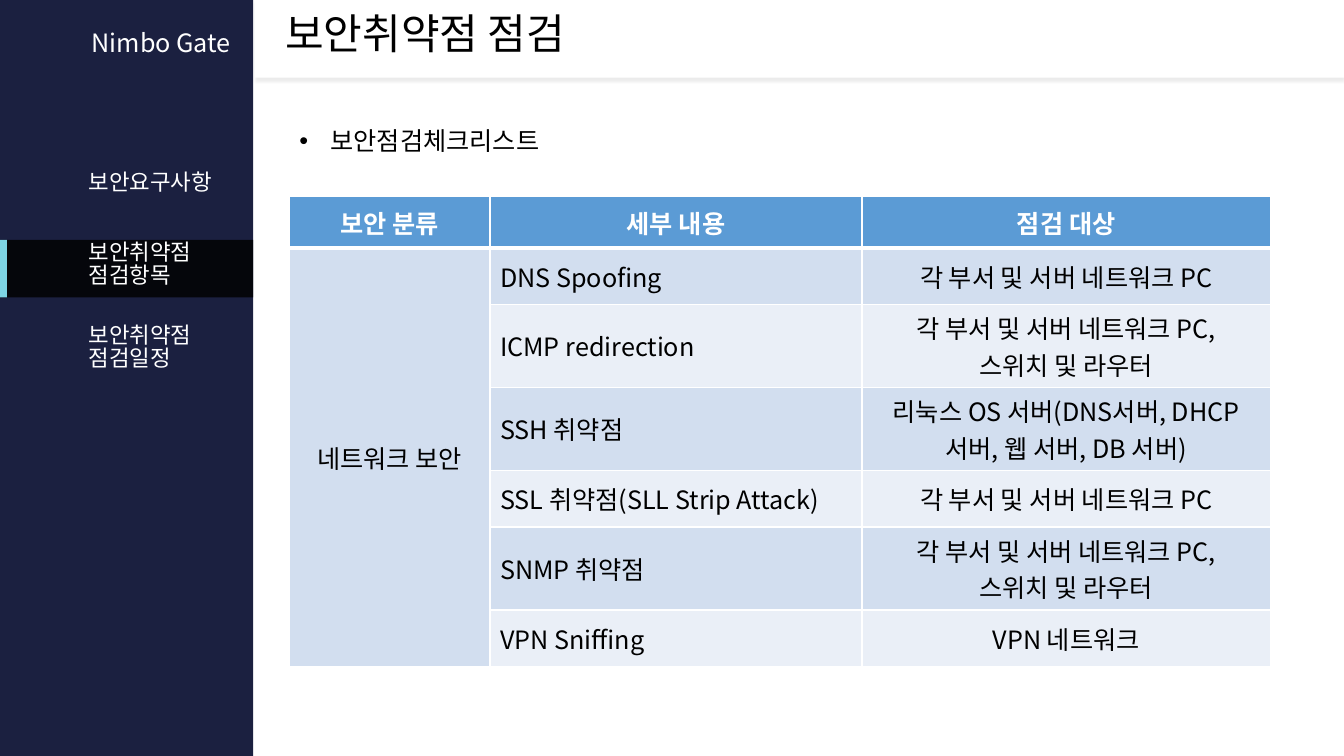
import lxml.etree
import pptx
import pptx.dml.color
import pptx.enum.shapes
import pptx.enum.text
import pptx.oxml
import pptx.oxml.ns
import pptx.util

Inches = pptx.util.Inches
Pt = pptx.util.Pt
RGBColor = pptx.dml.color.RGBColor
ALIGN = pptx.enum.text.PP_ALIGN
ANCHOR = pptx.enum.text.MSO_ANCHOR
qn = pptx.oxml.ns.qn

FONT = "Noto Sans CJK KR"
WHITE = RGBColor(0xFF, 0xFF, 0xFF)
BLACK = RGBColor(0, 0, 0)
NAVY = RGBColor(0x1B, 0x20, 0x40)
ACTIVE = RGBColor(0x05, 0x06, 0x0B)
CYAN = RGBColor(0x7D, 0xD4, 0xE5)
HEADER_BLUE = RGBColor(0x5B, 0x9B, 0xD5)
BAND_DARK = RGBColor(0xD2, 0xDE, 0xEF)
BAND_LIGHT = RGBColor(0xEA, 0xEF, 0xF7)

MENU = [
    (1.66, 0.37, ["보안요구사항"]),
    (2.36, 0.64, ["보안취약점", "점검항목"]),
    (3.18, 0.64, ["보안취약점", "점검일정"]),
]
HEADERS = ["보안 분류", "세부 내용", "점검 대상"]
CATEGORY = "네트워크 보안"
ALL_PCS = ["각 부서 및 서버 네트워크 PC"]
PCS_AND_ROUTERS = ["각 부서 및 서버 네트워크 PC,", "스위치 및 라우터"]
CHECKS = [
    ("DNS Spoofing", ALL_PCS),
    ("ICMP redirection", PCS_AND_ROUTERS),
    ("SSH 취약점", ["리눅스 OS 서버(DNS서버, DHCP서버, 웹 서버, DB 서버)"]),
    ("SSL 취약점(SLL Strip Attack)", ALL_PCS),
    ("SNMP 취약점", PCS_AND_ROUTERS),
    ("VPN Sniffing", ["VPN 네트워크"]),
]
COLUMN_WIDTHS = [1.99, 3.69, 4.05]
ROW_HEIGHTS = [0.51, 0.56, 0.8, 0.8, 0.56, 0.8, 0.56]


def write_lines(frame, lines, size, color, bold=False, align=ALIGN.LEFT, spacing=None):
    for index, line in enumerate(lines):
        paragraph = frame.paragraphs[0] if index == 0 else frame.add_paragraph()
        paragraph.alignment = align
        if spacing:
            paragraph.line_spacing = spacing
        run = paragraph.add_run()
        run.text = line
        for name, value in {"name": FONT, "size": Pt(size), "bold": bold}.items():
            setattr(run.font, name, value)
        run.font.color.rgb = color
        east_asian = lxml.etree.SubElement(run.font._element, qn("a:ea"))
        east_asian.set("typeface", FONT)


def format_frame(frame):
    settings = {
        "word_wrap": True,
        "vertical_anchor": ANCHOR.TOP,
        "auto_size": pptx.enum.text.MSO_AUTO_SIZE.NONE,
        "margin_left": Inches(0.1),
        "margin_right": Inches(0.1),
        "margin_top": Inches(0.05),
        "margin_bottom": Inches(0.05),
    }
    for name, value in settings.items():
        setattr(frame, name, value)


def add_text(slide, box, lines, size, color, spacing):
    shape = slide.shapes.add_textbox(*map(Inches, box))
    format_frame(shape.text_frame)
    write_lines(shape.text_frame, lines, size, color, spacing=spacing)
    return shape


def add_block(slide, box, color):
    shape = slide.shapes.add_shape(
        pptx.enum.shapes.MSO_SHAPE.RECTANGLE, *map(Inches, box))
    shape.shadow.inherit = False
    shape.fill.solid()
    shape.fill.fore_color.rgb = color
    shape.line.fill.background()
    return shape


def build_sidebar(slide, left, top, width, height):
    add_block(slide, (left, top, width, height), NAVY)
    add_text(slide, (left + 0.81, top + 0.26, 1.72, 0.4), ["Nimbo Gate"], 18, WHITE, 0.88)
    # Highlight of the current entry
    add_block(slide, (left, top + 2.38, width, 0.57), ACTIVE)
    add_block(slide, (left, top + 2.38, 0.07, 0.57), CYAN)
    # Menu entries
    for offset, entry_height, lines in MENU:
        add_text(slide, (left + 0.78, top + offset, 1.55, entry_height),
                 lines, 16, WHITE, 0.84)


def build_header(slide, left, top, width, height):
    bar = add_block(slide, (left, top, width, height), WHITE)
    effects = bar._element.spPr.find(qn("a:effectLst"))
    shadow = lxml.etree.SubElement(effects, qn("a:outerShdw"), blurRad=str(Pt(2)),
                                   dist=str(Pt(2)), dir="5400000", rotWithShape="0")
    color = lxml.etree.SubElement(shadow, qn("a:srgbClr"), val=str(BLACK))
    lxml.etree.SubElement(color, qn("a:alpha"), val="8000")
    # Title, brought in front of the bar
    title = slide.shapes.title
    placement = {"left": left + 0.2, "top": top + 0.09, "width": 3.29, "height": 0.61}
    for name, value in placement.items():
        setattr(title, name, Inches(value))
    format_frame(title.text_frame)
    write_lines(title.text_frame, ["보안취약점 점검"], 30, BLACK, spacing=0.88)
    bar._element.addnext(title._element)


def build_bullet(slide, left, top, width, height):
    shape = add_text(slide, (left, top, width, height), ["보안점검체크리스트"], 18, BLACK, 0.9)
    properties = shape.text_frame.paragraphs[0]._p.get_or_add_pPr()
    properties.set("marL", str(Inches(0.31)))
    properties.set("indent", str(-Inches(0.31)))
    lxml.etree.SubElement(properties, qn("a:buFont"), typeface="Arial")
    lxml.etree.SubElement(properties, qn("a:buChar"), char="•")


def format_cell(cell, fill, top_line, bottom_line):
    cell.vertical_anchor = ANCHOR.MIDDLE
    cell.fill.solid()
    cell.fill.fore_color.rgb = fill
    properties = cell._tc.get_or_add_tcPr()
    borders = {"a:lnL": 1, "a:lnR": 1, "a:lnT": top_line, "a:lnB": bottom_line}
    for index, (tag, points) in enumerate(borders.items()):
        line = lxml.etree.Element(qn(tag), w=str(Pt(points)))
        solid = lxml.etree.SubElement(line, qn("a:solidFill"))
        lxml.etree.SubElement(solid, qn("a:srgbClr"), val=str(WHITE))
        properties.insert(index, line)


def build_table(slide, left, top, width, height):
    table = slide.shapes.add_table(
        len(ROW_HEIGHTS), len(COLUMN_WIDTHS),
        *map(Inches, (left, top, width, height))).table
    for column, column_width in zip(table.columns, COLUMN_WIDTHS):
        column.width = Inches(column_width)
    for row, row_height in zip(table.rows, ROW_HEIGHTS):
        row.height = Inches(row_height)

    # Fills and borders
    for row in range(len(ROW_HEIGHTS)):
        for column in range(len(COLUMN_WIDTHS)):
            if row == 0:
                fill = HEADER_BLUE
            else:
                fill = BAND_DARK if row % 2 or column == 0 else BAND_LIGHT
            format_cell(table.cell(row, column), fill,
                        3 if row == 1 else 1, 3 if row == 0 else 1)

    # Wording
    for column, header in enumerate(HEADERS):
        write_lines(table.cell(0, column).text_frame, [header], 18, WHITE, True, ALIGN.CENTER)
    table.cell(1, 0).merge(table.cell(len(CHECKS), 0))
    write_lines(table.cell(1, 0).text_frame, [CATEGORY], 18, BLACK, align=ALIGN.CENTER)
    for row, (check, targets) in enumerate(CHECKS, start=1):
        write_lines(table.cell(row, 1).text_frame, [check], 18, BLACK, align=ALIGN.JUSTIFY)
        write_lines(table.cell(row, 2).text_frame, targets, 18, BLACK, align=ALIGN.CENTER)


def main():
    presentation = pptx.Presentation()
    presentation.slide_width = Inches(13.33)
    presentation.slide_height = Inches(7.5)
    slide = presentation.slides.add_slide(presentation.slide_layouts[5])
    build_sidebar(slide, 0, 0, 2.51, 7.5)
    build_header(slide, 2.53, 0, 10.8, 0.77)
    build_bullet(slide, 2.87, 1.23, 2.88, 0.4)
    build_table(slide, 2.87, 1.95, sum(COLUMN_WIDTHS), sum(ROW_HEIGHTS))
    presentation.save("out.pptx")


if __name__ == "__main__":
    main()
